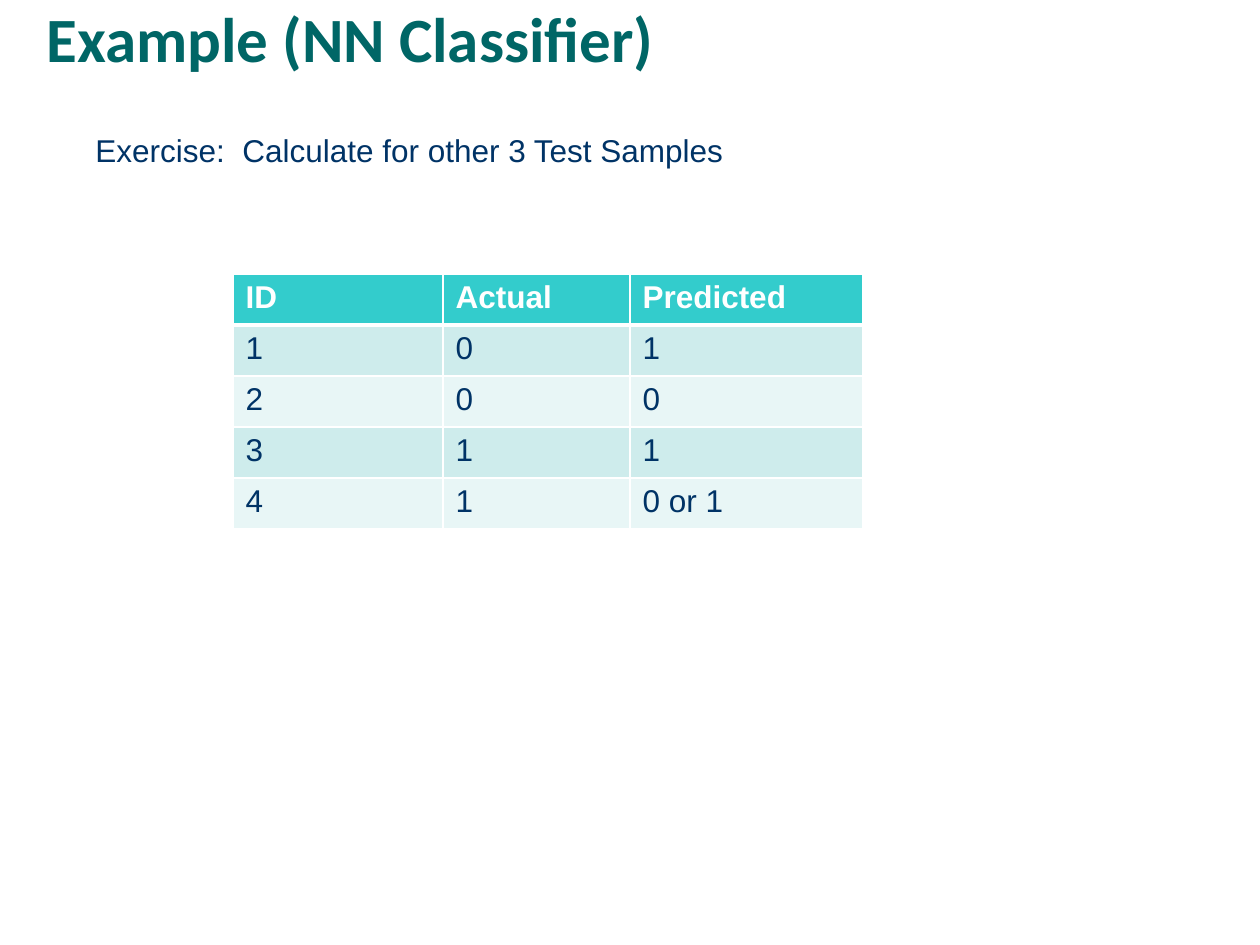
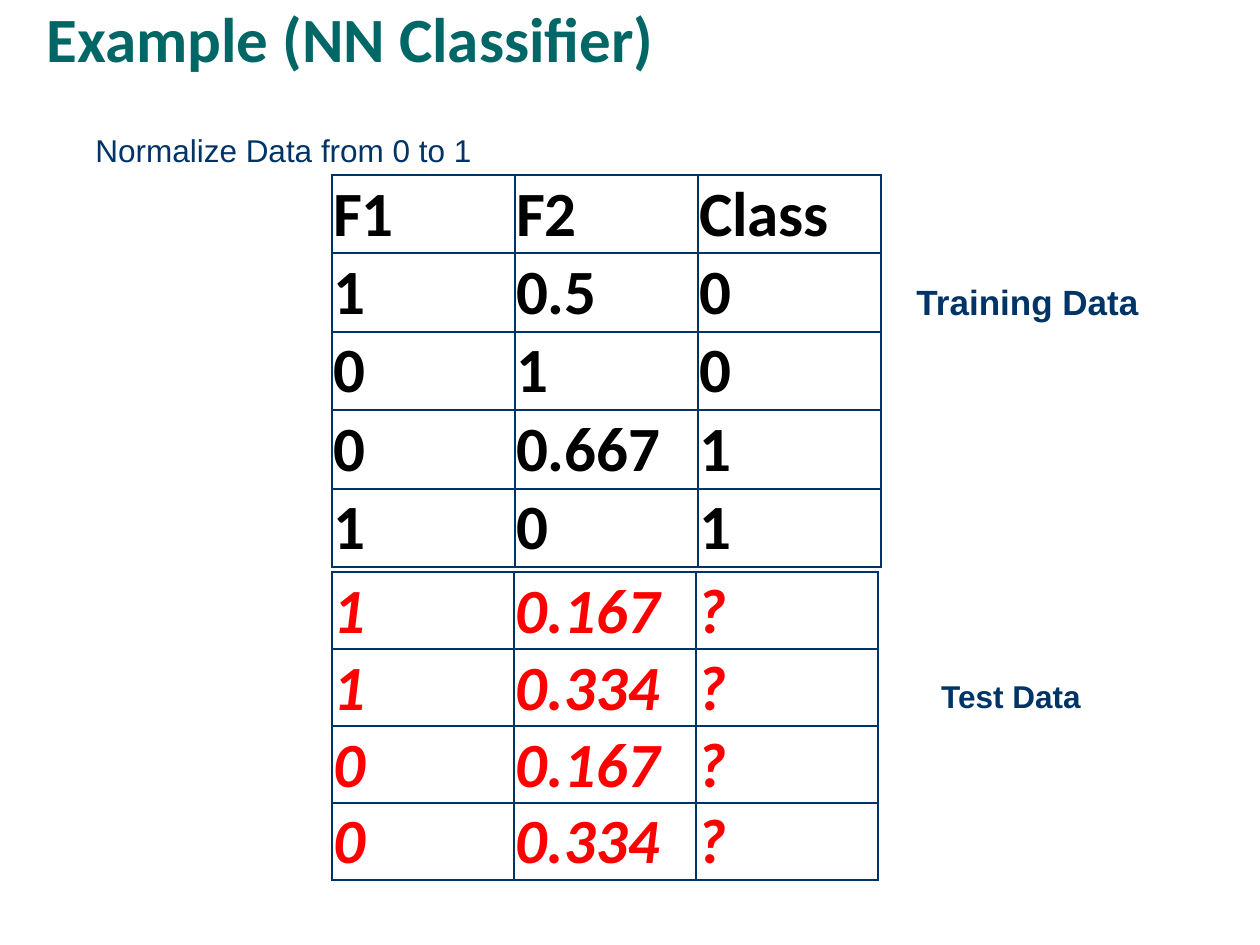
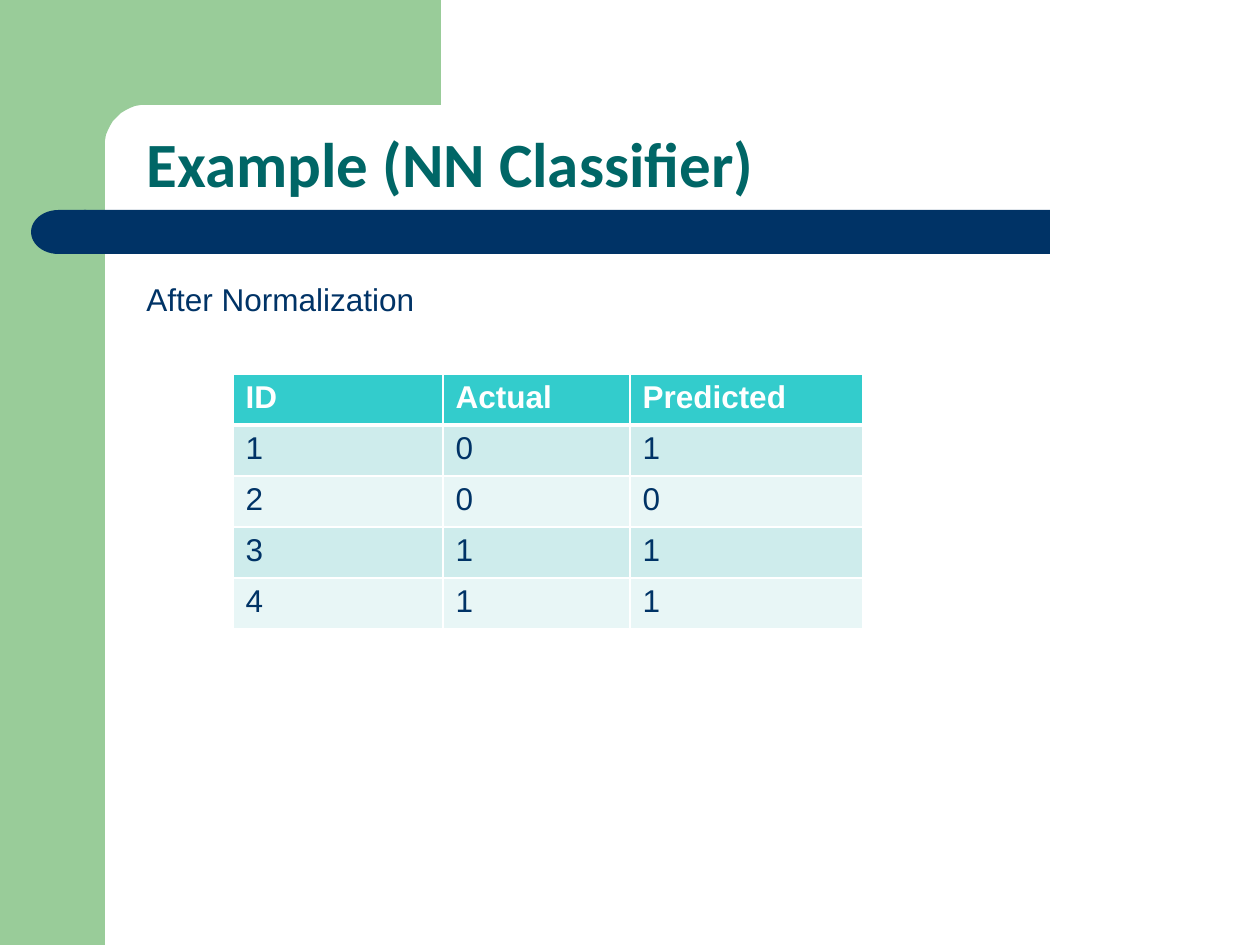
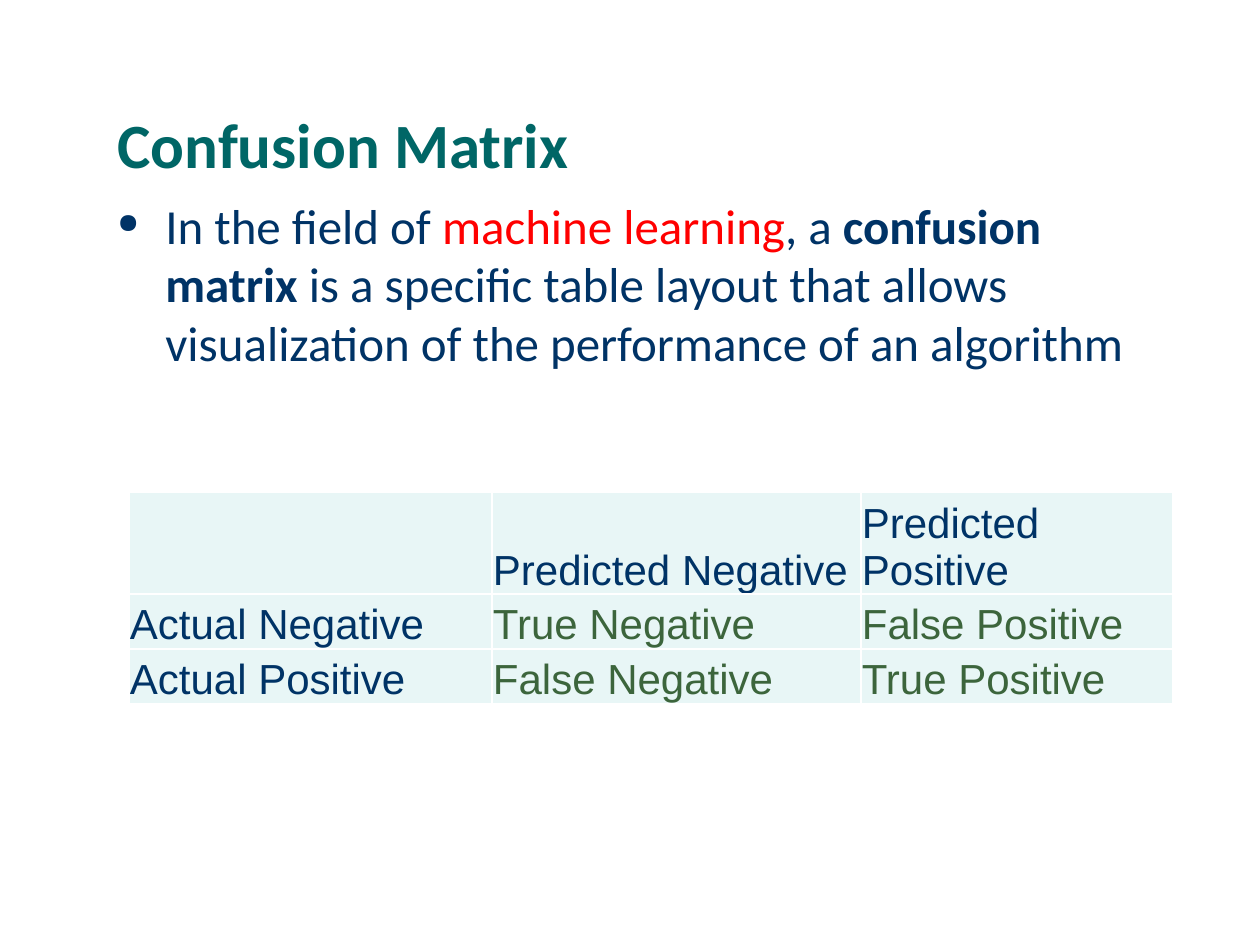
from math import cos, pi, sin

from lxml.etree import SubElement
from pptx import Presentation
from pptx.dml.color import RGBColor
from pptx.enum.shapes import MSO_SHAPE
from pptx.enum.text import MSO_ANCHOR, PP_ALIGN
from pptx.oxml.ns import qn
from pptx.util import Emu, Pt

EMU_PER_PX = 914400 / 126
SLIDE_SIZE = (1260, 945)

NAVY = "003366"
TEAL = "006666"
TURQUOISE = "33CCCC"
PALE = "CEECEC"
PALEST = "E8F6F6"
GREEN = "99CC99"
DARK_GREEN = "3C653C"
RED = "FF0000"
BLACK = "000000"
WHITE = "FFFFFF"

# Margins: left, top, right, bottom
TIGHT = (1, 1, 1, 0)
TITLE_MARGINS = (7, 1, 7, 2)
RESULT_HEAD = ["ID", "Actual", "Predicted"]


def px(length):
    return Emu(round(length * EMU_PER_PX))


def color(value):
    return RGBColor.from_string(value)


# Text and fills

def set_margins(holder, margins):
    """Set the margins of a text frame or a table cell."""
    (holder.margin_left, holder.margin_top,
     holder.margin_right, holder.margin_bottom) = map(px, margins)


def add_bullet(paragraph, char, indent, fill, percent):
    properties = paragraph._p.get_or_add_pPr()
    properties.set("marL", str(px(indent)))
    properties.set("indent", str(-px(indent)))
    bullet_color = SubElement(properties, qn("a:buClr"))
    SubElement(bullet_color, qn("a:srgbClr"), val=fill)
    SubElement(properties, qn("a:buSzPct"), val=str(percent * 1000))
    SubElement(properties, qn("a:buChar"), char=char)


def write_text(paragraph, runs, align=PP_ALIGN.LEFT, spacing=None, **font_format):
    """Write a string, or a list of (string, format changes), as runs."""
    paragraph.alignment = align
    if spacing:
        paragraph.line_spacing = spacing
    if isinstance(runs, str):
        runs = [(runs, {})]
    for text, changes in runs:
        style = {"font": "Arial", "size": 18, "fill": NAVY,
                 "bold": False, "italic": False, **font_format, **changes}
        run = paragraph.add_run()
        run.text = text
        run.font.name = style["font"]
        run.font.size = Pt(style["size"])
        run.font.bold = style["bold"]
        run.font.italic = style["italic"]
        run.font.color.rgb = color(style["fill"])


def add_text(slide, box, runs, wrap=True, bullet=None, **text_format):
    shape = slide.shapes.add_textbox(*map(px, box))
    shape.text_frame.word_wrap = wrap
    paragraph = shape.text_frame.paragraphs[0]
    if bullet:
        add_bullet(paragraph, **bullet)
    write_text(paragraph, runs, **text_format)


def add_title(slide, left, top, text):
    shape = slide.shapes.add_shape(MSO_SHAPE.ROUNDED_RECTANGLE,
                                   px(left), px(top), px(1092), px(84))
    shape.adjustments[0] = 0.22
    shape.shadow.inherit = False
    shape.fill.background()
    shape.line.fill.background()
    frame = shape.text_frame
    frame.word_wrap = True
    frame.vertical_anchor = MSO_ANCHOR.BOTTOM
    set_margins(frame, TITLE_MARGINS)
    write_text(frame.paragraphs[0], text, spacing=0.9, font="Calibri", size=36,
               fill=TEAL, bold=True)


def paint(shape, fill):
    shape.shadow.inherit = False
    shape.fill.solid()
    shape.fill.fore_color.rgb = color(fill)
    shape.line.fill.background()


# Tables

def set_borders(cell, fill, top=1, bottom=1):
    properties = cell._tc.get_or_add_tcPr()
    for side, width in zip("LRTB", (1, 1, top, bottom)):
        line = SubElement(properties, qn(f"a:ln{side}"), w=str(Pt(width)))
        SubElement(SubElement(line, qn("a:solidFill")), qn("a:srgbClr"), val=fill)


def add_grid(slide, left, top, widths, heights, rows, style_of, border,
             head_line=1, margins=None):
    """Add a table; style_of(row, column) gives the cell fill and text format."""
    table = slide.shapes.add_table(
        len(rows), len(widths), px(left), px(top),
        px(sum(widths)), px(sum(heights))).table
    table.first_row = table.horz_banding = False
    for column, width in zip(table.columns, widths):
        column.width = px(width)
    for row, height in zip(table.rows, heights):
        row.height = px(height)
    for r, values in enumerate(rows):
        for c, value in enumerate(values):
            cell = table.cell(r, c)
            cell_fill, text_format = style_of(r, c)
            set_borders(cell, border, top=head_line if r == 1 else 1,
                        bottom=head_line if r == 0 else 1)
            if cell_fill:
                cell.fill.solid()
                cell.fill.fore_color.rgb = color(cell_fill)
            else:
                cell.fill.background()
            if margins:
                set_margins(cell, margins)
                cell.vertical_anchor = MSO_ANCHOR.BOTTOM
            if value:
                write_text(cell.text_frame.paragraphs[0], value, **text_format)


def add_result_table(slide, top, predictions):
    def style_of(r, c):
        if r == 0:
            return TURQUOISE, {"fill": WHITE, "bold": True}
        return (PALE if r % 2 else PALEST), {}

    actual = ["0", "0", "1", "1"]
    rows = [RESULT_HEAD] + [
        [str(number), *pair]
        for number, pair in enumerate(zip(actual, predictions), 1)]
    add_grid(slide, 233, top, [210, 187, 233], [51] * len(rows), rows,
             style_of, WHITE, head_line=3)


def add_data_table(slide, top, column_width, heights, rows, **text_format):
    def style_of(r, c):
        return None, {"font": "Calibri", "size": 36, "bold": True, **text_format}

    add_grid(slide, 332, top, [column_width] * 3, heights, rows,
             style_of, NAVY, margins=TIGHT)


# Side band with rounded inner corner, and the bar under the title

def add_frame(slide):
    shapes = slide.shapes
    band_width, band_height, radius = 105, 105, 41
    paint(shapes.add_shape(MSO_SHAPE.RECTANGLE, 0, 0,
                           px(band_width), px(SLIDE_SIZE[1])), GREEN)

    center_x, center_y = band_width + radius, band_height + radius
    angles = [step * pi / 24 for step in range(13)]
    corner = [(center_x - radius * sin(angle), center_y - radius * cos(angle))
              for angle in angles]
    builder = shapes.build_freeform(441, 0, scale=EMU_PER_PX)
    builder.add_line_segments(
        [(441, band_height), *corner, (band_width, 161), (63, 161), (63, 0)])
    paint(builder.convert_to_shape(), GREEN)

    bar_top, bar_height = 210, 44
    paint(shapes.add_shape(MSO_SHAPE.RECTANGLE, px(84), px(bar_top),
                           px(966), px(bar_height)), NAVY)
    bar_end = shapes.add_shape(MSO_SHAPE.FLOWCHART_DELAY, px(31), px(bar_top),
                               px(55), px(bar_height))
    bar_end.rotation = 180
    paint(bar_end, NAVY)


# Slides

def build_exercise(slide):
    add_title(slide, 34, 0, "Example (NN Classifier)")
    add_text(slide, (83, 125, 1092, 127),
             "Exercise:  Calculate for other 3 Test Samples")
    add_result_table(slide, 274, ["1", "0", "1", "0 or 1"])


def build_normalized_data(slide):
    add_title(slide, 34, 0, "Example (NN Classifier)")
    add_data_table(slide, 175, 183, [78, 79, 78, 79, 78], [
        ["F1", "F2", "Class"],
        ["1", "0.5", "0"],
        ["0", "1", "0"],
        ["0", "0.667", "1"],
        ["1", "0", "1"],
    ], fill=BLACK)
    add_text(slide, (879, 274, 297, 55), "Training Data",
             align=PP_ALIGN.CENTER, size=20, bold=True)
    add_data_table(slide, 572, 182, [77] * 4, [
        ["1", "0.167", "?"],
        ["1", "0.334", "?"],
        ["0", "0.167", "?"],
        ["0", "0.334", "?"],
    ], fill=RED, italic=True)
    add_text(slide, (928, 671, 166, 50), "Test Data", wrap=False,
             align=PP_ALIGN.CENTER, bold=True)
    add_text(slide, (83, 125, 645, 50), "Normalize Data from 0 to 1")


def build_normalized_result(slide):
    add_frame(slide)
    add_title(slide, 134, 125, "Example (NN Classifier)")
    add_result_table(slide, 374, ["1", "0", "1", "1"])
    add_text(slide, (134, 274, 596, 50), "After Normalization")


def build_confusion_matrix(slide):
    def style_of(r, c):
        return PALEST, {"size": 24, "fill": DARK_GREEN if r and c else NAVY}

    add_title(slide, 105, 106, "Confusion Matrix")
    add_text(slide, (105, 189, 1060, 189), [
        ("In the field of ", {}),
        ("machine learning", {"fill": RED}),
        (", a ", {}),
        ("confusion matrix", {"bold": True}),
        (" is a specific table layout that allows visualization"
         " of the performance of an algorithm", {}),
    ], font="Calibri", size=28,
        bullet={"char": "●", "indent": 48, "fill": NAVY, "percent": 56})
    add_grid(slide, 129, 492, [363, 369, 312], [55] * 3, [
        ["", "Predicted Negative", "Predicted Positive"],
        ["Actual Negative", "True Negative", "False Positive"],
        ["Actual Positive", "False Negative", "True Positive"],
    ], style_of, WHITE, margins=TIGHT)


def main():
    presentation = Presentation()
    presentation.slide_width, presentation.slide_height = map(px, SLIDE_SIZE)
    blank = presentation.slide_layouts[6]
    for build in (build_exercise, build_normalized_data,
                  build_normalized_result, build_confusion_matrix):
        build(presentation.slides.add_slide(blank))
    presentation.save("out.pptx")


if __name__ == "__main__":
    main()
